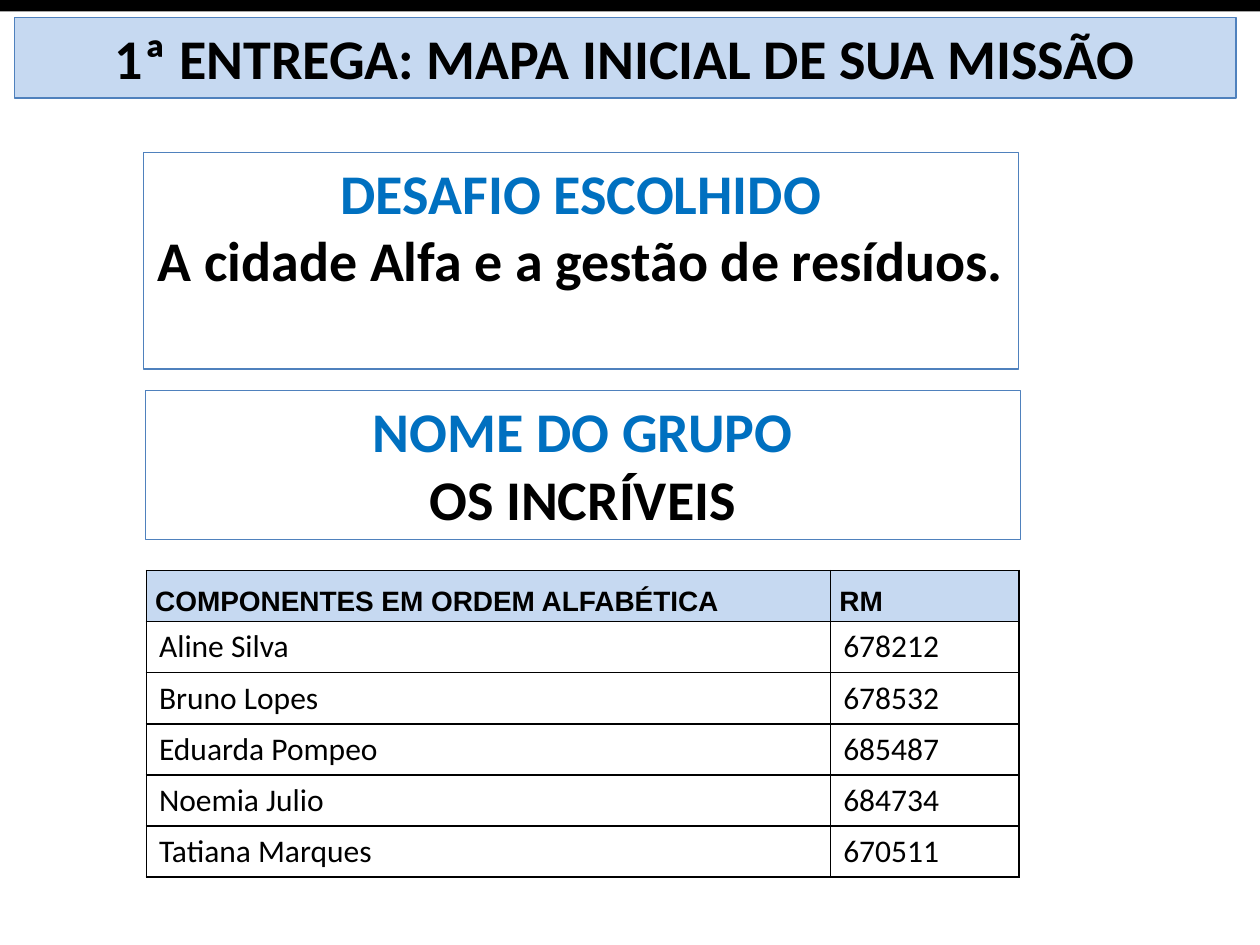
import pptx
import pptx.util
import pptx.dml.color
import pptx.enum.shapes
import pptx.enum.text
import pptx.oxml
import pptx.oxml.ns

Pt = pptx.util.Pt
RGB = pptx.dml.color.RGBColor.from_string
RECT = pptx.enum.shapes.MSO_SHAPE.RECTANGLE
TEXT = pptx.enum.text

theme = {
    "ink": RGB("000000"), "paper": RGB("FFFFFF"), "pale": RGB("C6D9F1"),
    "edge": RGB("4F81BD"), "blue": RGB("0070C0"),
    "big": Pt(32), "head": Pt(16), "cell": Pt(18),
}


def style(para, color, **form):
    """Set paragraph formats, then the font formats and colour."""
    for key in ("alignment", "line_spacing", "space_after"):
        if key in form:
            setattr(para, key, form.pop(key))
    for key, val in form.items():
        setattr(para.font, key, val)
    para.font.color.rgb = color


def block(left, top, width, height, fill, edge=None):
    """Add a plain rectangle with an optional thin outline."""
    box = slide.shapes.add_shape(RECT, Pt(left), Pt(top), Pt(width), Pt(height))
    box.shadow.inherit = False
    box.fill.solid()
    box.fill.fore_color.rgb = fill
    if edge is None:
        box.line.fill.background()
    else:
        box.line.color.rgb = edge
        box.line.width = Pt(0.75)
    return box


deck = pptx.Presentation()
deck.slide_width, deck.slide_height = Pt(720), Pt(540)
slide = deck.slides.add_slide(deck.slide_layouts[6])

# Black strip along the top
block(0, 0, 720, 6.5, theme["ink"])

# Table of group members
rows = [
    ("COMPONENTES EM ORDEM ALFABÉTICA", "RM"),
    ("Aline Silva", "678212"),
    ("Bruno Lopes", "678532"),
    ("Eduarda Pompeo", "685487"),
    ("Noemia Julio", "684734"),
    ("Tatiana Marques", "670511"),
]
wide, high = (391, 107.5), 29.2
grid = slide.shapes.add_table(
    len(rows), 2, Pt(83.7), Pt(326), Pt(sum(wide)), Pt(high * len(rows))).table
for col, width in zip(grid.columns, wide):
    col.width = Pt(width)

top_row = {"name": "Arial", "size": theme["head"], "bold": True,
           "line_spacing": 1.5, "space_after": Pt(6)}
body = {"name": "Calibri", "size": theme["cell"], "bold": False}
inset = {"margin_left": Pt(5), "margin_right": Pt(5),
         "margin_top": 0, "margin_bottom": 0}
for i, row in enumerate(rows):
    grid.rows[i].height = Pt(high)
    for j, text in enumerate(row):
        cell = grid.cell(i, j)
        cell.text = text
        cell.fill.solid()
        cell.fill.fore_color.rgb = theme["paper"] if i else theme["pale"]
        style(cell.text_frame.paragraphs[0], theme["ink"],
              **(body if i else top_row))
        if i == 0:
            for key, val in inset.items():
                setattr(cell, key, val)
        # Black border on all four sides, ahead of the fill
        props = cell._tc.get_or_add_tcPr()
        for n, side in enumerate(("lnL", "lnR", "lnT", "lnB")):
            props.insert(n, pptx.oxml.parse_xml(
                f'<a:{side} {pptx.oxml.ns.nsdecls("a")} w="{Pt(1)}"><a:solidFill>'
                f'<a:srgbClr val="{theme["ink"]}"/></a:solidFill></a:{side}>'))

# Title bar and the two text panels
panels = [
    ((8.4, 10, 698, 46), "pale",
     [("1ª ENTREGA: MAPA INICIAL DE SUA MISSÃO", "ink")]),
    ((83, 223.2, 500, 85), "paper",
     [("NOME DO GRUPO", "blue"), ("OS INCRÍVEIS", "ink")]),
    ((82, 87.1, 500, 123.8), "paper",
     [("DESAFIO ESCOLHIDO", "blue"),
      ("A cidade Alfa e a gestão de resíduos.", "ink")]),
]
for place, fill, lines in panels:
    frame = block(*place, theme[fill], theme["edge"]).text_frame
    frame.word_wrap = True
    frame.vertical_anchor = TEXT.MSO_ANCHOR.TOP
    frame.text = "\n".join(text for text, _ in lines)
    for para, (_, color) in zip(frame.paragraphs, lines):
        style(para, theme[color], name="Calibri", size=theme["big"], bold=True,
              alignment=TEXT.PP_ALIGN.CENTER)

deck.save("out.pptx")
